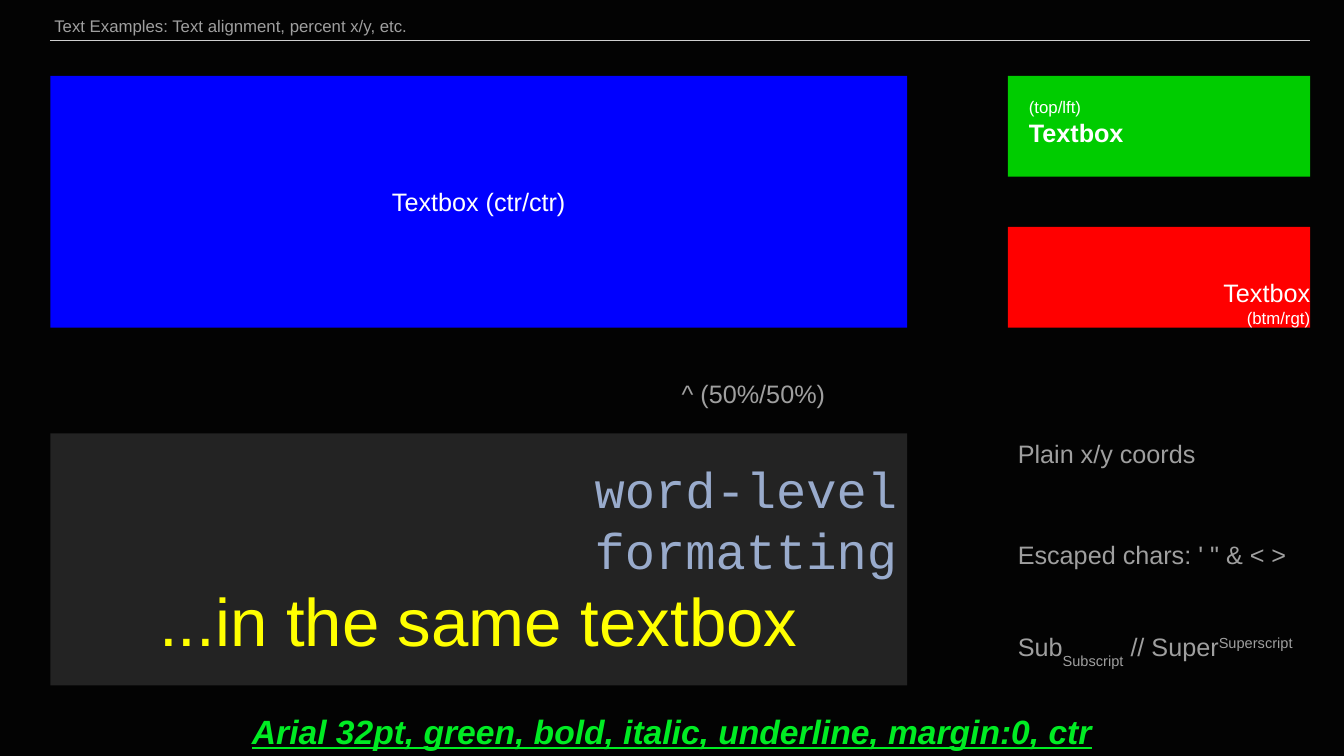
from dataclasses import dataclass, field
from typing import Any

from lxml import etree
from pptx import Presentation, util as u
from pptx.dml import color, fill
from pptx.enum import shapes, text
from pptx.oxml import ns

GRAY = "9F9F9F"
WHITE = "FFFFFF"
LEFT = text.PP_ALIGN.LEFT
CENTER = text.PP_ALIGN.CENTER
RIGHT = text.PP_ALIGN.RIGHT
MIDDLE = text.MSO_ANCHOR.MIDDLE
MARGINS = ("margin_left", "margin_top", "margin_right", "margin_bottom")


@dataclass
class Words:
    content: str
    size: int = 18
    color: str = WHITE
    name: str = "Arial"
    baseline: int = 0
    format: dict[str, Any] = field(default_factory=dict)


@dataclass
class Line:
    words: list[Words]
    alignment: text.PP_ALIGN = LEFT


@dataclass
class Box:
    left: float
    top: float
    width: float
    height: float
    lines: list[Line]
    fill: str | None = None
    anchor: text.MSO_ANCHOR = MIDDLE
    margin: float | None = None


def paint(target: fill.FillFormat, value: str) -> None:
    target.solid()
    target.fore_color.rgb = color.RGBColor.from_string(value)


def write_lines(frame: Any, lines: list[Line]) -> None:
    for index, line in enumerate(lines):
        paragraph = frame.add_paragraph() if index else frame.paragraphs[0]
        paragraph.alignment = line.alignment
        for words in line.words:
            run = paragraph.add_run()
            run.text = words.content
            values = {"size": u.Pt(words.size), "name": words.name, **words.format}
            for attribute, value in values.items():
                setattr(run.font, attribute, value)
            paint(run.font.fill, words.color)
            if words.baseline:
                run._r.get_or_add_rPr().set("baseline", str(words.baseline * 1000))


def draw_box(slide: Any, box: Box) -> None:
    place = [u.Cm(value) for value in (box.left, box.top, box.width, box.height)]
    if box.fill:
        shape = slide.shapes.add_shape(shapes.MSO_SHAPE.RECTANGLE, *place)
        shape.shadow.inherit = False
        paint(shape.fill, box.fill)
        shape.line.fill.background()
    else:
        shape = slide.shapes.add_textbox(*place)
    frame = shape.text_frame
    values = {"word_wrap": True, "vertical_anchor": box.anchor}
    if box.margin is not None:
        values.update(dict.fromkeys(MARGINS, u.Cm(box.margin)))
    for attribute, value in values.items():
        setattr(frame, attribute, value)
    write_lines(frame, box.lines)


def draw_heading(slide: Any, line: Line) -> None:
    table = slide.shapes.add_table(
        1, 1, u.Cm(1.27), u.Cm(0.33), u.Cm(31.75), u.Cm(0.69)
    ).table
    table.first_row = table.horz_banding = False
    cell = table.cell(0, 0)
    for margin in MARGINS:
        setattr(cell, margin, u.Cm(0.1))
    cell.fill.background()
    write_lines(cell.text_frame, [line])
    properties = cell._tc.get_or_add_tcPr()
    for index, side in enumerate(("lnL", "lnR", "lnT", "lnB")):
        border = etree.Element(ns.qn(f"a:{side}"), w=str(u.Pt(1)))
        if side == "lnB":
            solid = etree.SubElement(border, ns.qn("a:solidFill"))
            etree.SubElement(solid, ns.qn("a:srgbClr"), val="CFCFCF")
        else:
            etree.SubElement(border, ns.qn("a:noFill"))
        properties.insert(index, border)


def gray_label(left: float, top: float, width: float, *words: Words) -> Box:
    return Box(left, top, width, 0.76, [Line(list(words))])


def code_line(content: str) -> Line:
    return Line([Words(content, 36, "99ABCC", "Courier New")], RIGHT)


HEADING = Line([Words("Text Examples: Text alignment, percent x/y, etc.", 12, GRAY)])
BOXES = [
    Box(1.27, 1.91, 21.59, 6.35,
        [Line([Words("Textbox (ctr/ctr)")], CENTER)], "0000FF"),
    Box(25.4, 1.91, 7.62, 2.54,
        [Line([Words("(top/lft)", 12)]),
         Line([Words("Textbox", format={"bold": True})])],
        "00CC00", text.MSO_ANCHOR.TOP, 0.53),
    Box(25.4, 5.72, 7.62, 2.54,
        [Line([Words("Textbox")], RIGHT), Line([Words("(btm/rgt)", 12)], RIGHT)],
        "FF0000", text.MSO_ANCHOR.BOTTOM, 0),
    gray_label(16.93, 9.53, 5.08, Words("^ (50%/50%)", color=GRAY)),
    gray_label(25.4, 11.05, 7.62, Words("Plain x/y coords", color=GRAY)),
    gray_label(25.4, 13.59, 7.62, Words("Escaped chars: ' \" & < >", color=GRAY)),
    gray_label(25.4, 16, 25.4,
               Words("Sub", color=GRAY),
               Words("Subscript", color=GRAY, baseline=-40),
               Words(" // Super", color=GRAY),
               Words("Superscript", color=GRAY, baseline=30)),
    Box(1.27, 10.92, 21.59, 6.35,
        [code_line("word-level"), code_line("formatting"),
         Line([Words("...in the same textbox", 48, "FFFF00")], CENTER)], "232323"),
    Box(0, 17.78, 33.87, 1.27,
        [Line([Words("Arial 32pt, green, bold, italic, underline, margin:0, ctr",
                     24, "00EC23",
                     format={"bold": True, "italic": True, "underline": True})],
              CENTER)], margin=0),
]


def main() -> None:
    presentation = Presentation()
    presentation.slide_width = u.Cm(33.87)
    presentation.slide_height = u.Cm(19.05)
    slide = presentation.slides.add_slide(presentation.slide_layouts[6])
    paint(slide.background.fill, "030303")
    draw_heading(slide, HEADING)
    for box in BOXES:
        draw_box(slide, box)
    presentation.save("out.pptx")


if __name__ == "__main__":
    main()
